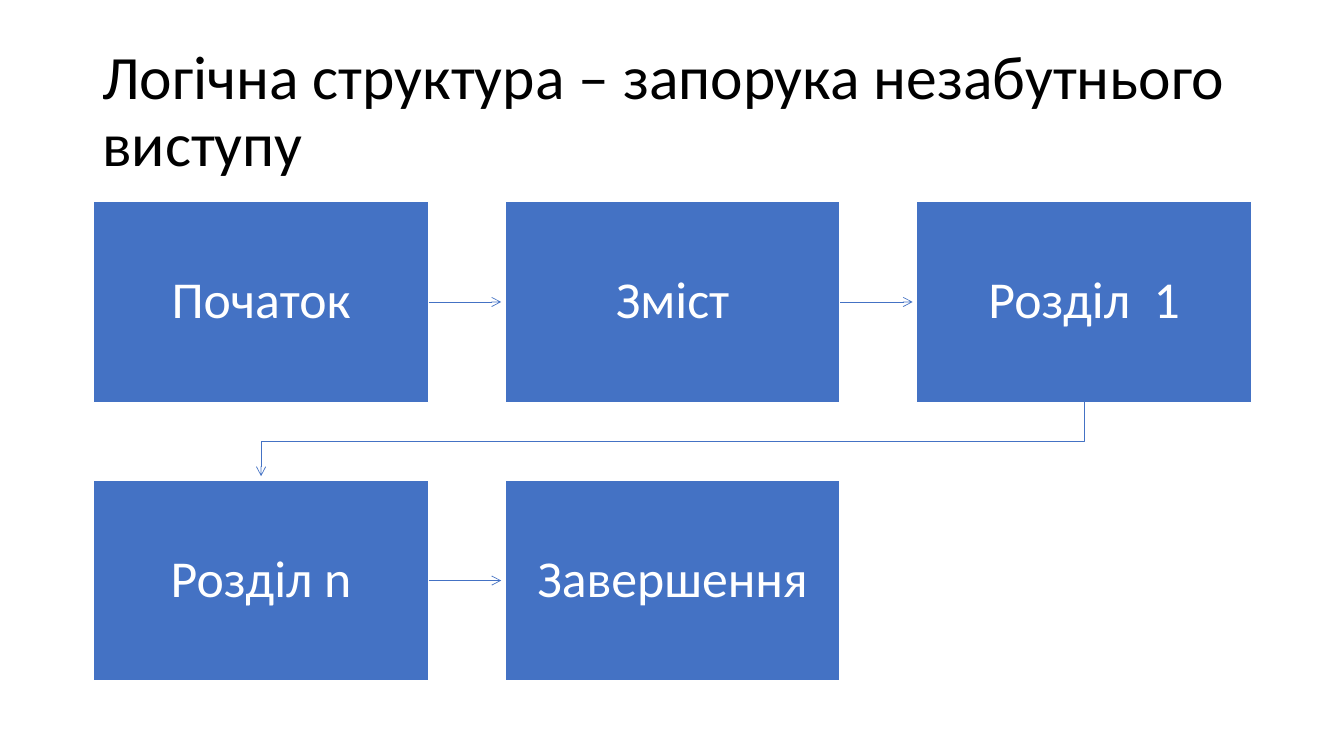
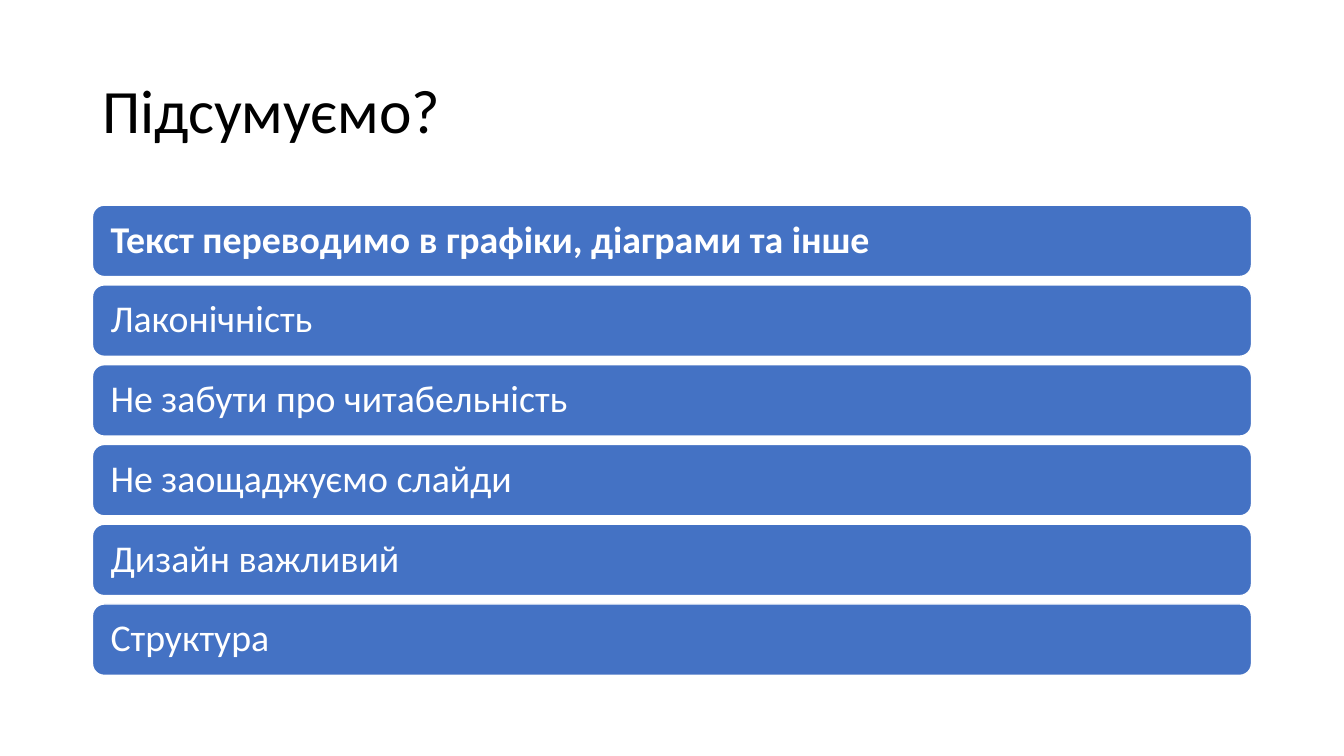
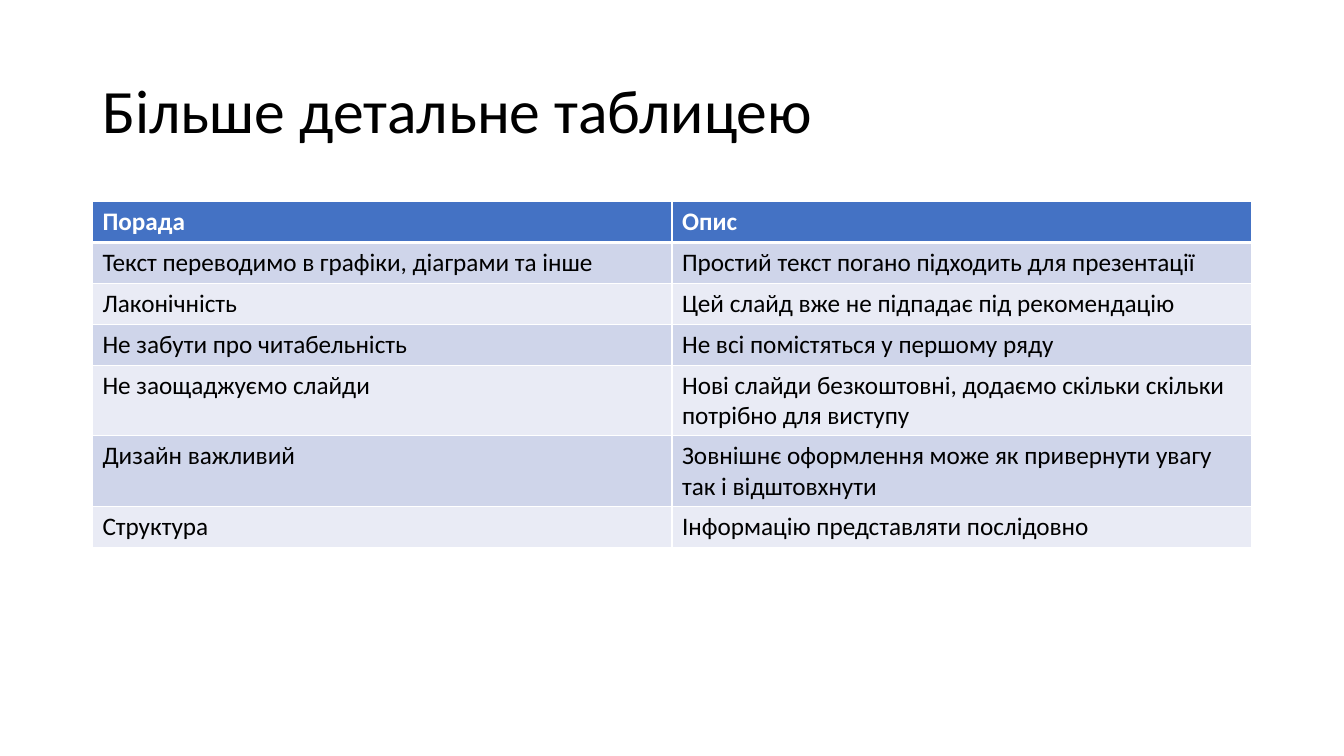
from dataclasses import dataclass

from lxml.etree import SubElement
from pptx import Presentation as Deck
from pptx.dml.color import RGBColor as Rgb
from pptx.enum.shapes import MSO_CONNECTOR as Link, MSO_SHAPE as Form
from pptx.enum.text import MSO_ANCHOR as Anchor, PP_ALIGN as Align
from pptx.oxml import parse_xml
from pptx.oxml.ns import nsdecls, qn
from pptx.util import Cm, Pt


# Colours, type and shared margins
@dataclass(frozen=True)
class Theme:
    font: str = "Calibri"
    blue: str = "4472C4"
    white: str = "FFFFFF"
    black: str = "000000"
    bands: tuple = ("CFD5EA", "E9EBF5")
    head: int = 44
    box: int = 37
    bar: int = 27
    cell: int = 18
    left: float = 2.33
    width: float = 29.21


T = Theme()

STEPS = ["Початок", "Зміст", "Розділ  1", "Розділ n", "Завершення"]
TIPS = [
    ("Текст переводимо в графіки, діаграми та інше",
     "Простий текст погано підходить для презентації"),
    ("Лаконічність", "Цей слайд вже не підпадає під рекомендацію"),
    ("Не забути про читабельність", "Не всі помістяться у першому ряду"),
    ("Не заощаджуємо слайди",
     "Нові слайди безкоштовні, додаємо скільки скільки потрібно для виступу"),
    ("Дизайн важливий",
     "Зовнішнє оформлення може як привернути увагу так і відштовхнути"),
    ("Структура", "Інформацію представляти послідовно"),
]


# Text and line helpers
def write(frame, text, size, color=T.white, bold=False, align=Align.LEFT,
          space=0.9, inset=None):
    frame.word_wrap = True
    if inset is not None:
        frame.margin_left = frame.margin_right = Cm(inset)
    para = frame.paragraphs[0]
    para.alignment = align
    para.line_spacing = space
    run = para.add_run()
    run.text = text
    run.font.name = T.font
    run.font.size = Pt(size)
    run.font.bold = bold
    run.font.color.rgb = Rgb.from_string(color)


def point(shape):
    """Thin blue line with an open arrowhead at its end."""
    shape.line.color.rgb = Rgb.from_string(T.blue)
    shape.line.width = Pt(0.5)
    SubElement(shape.line._get_or_add_ln(), qn("a:tailEnd"), type="arrow")


# Parts of a slide
def start(deck, title):
    slide = deck.slides.add_slide(deck.slide_layouts[6])
    area = slide.shapes.add_textbox(Cm(T.left), Cm(1.01), Cm(T.width), Cm(3.68))
    area.text_frame.vertical_anchor = Anchor.MIDDLE
    write(area.text_frame, title, T.head, color=T.black)
    return slide


def panel(slide, form, left, top, width, height, text, size, **style):
    shape = slide.shapes.add_shape(form, Cm(left), Cm(top), Cm(width), Cm(height))
    shape.shadow.inherit = False
    shape.fill.solid()
    shape.fill.fore_color.rgb = Rgb.from_string(T.blue)
    shape.line.color.rgb = Rgb.from_string(T.white)
    shape.line.width = Pt(1)
    shape.text_frame.vertical_anchor = Anchor.MIDDLE
    write(shape.text_frame, text, size, **style)
    return shape


def arrow(slide, first, last, gap):
    y = first.top + first.height // 2
    line = slide.shapes.add_connector(
        Link.STRAIGHT, first.left + first.width, y, last.left - gap, y)
    line.begin_connect(first, 3)
    point(line)
    SubElement(line._element.spPr, qn("a:effectLst"))


def turn(slide, first, last, gap):
    """Bent arrow from the end of one row to the start of the next."""
    x1, x2 = (box.left + box.width // 2 for box in (first, last))
    base = first.top + first.height
    mid = (base + last.top) // 2
    build = slide.shapes.build_freeform(x1, base)
    build.add_line_segments([(x1, mid), (x2, mid), (x2, last.top - gap)], close=False)
    path = build.convert_to_shape()
    path.shadow.inherit = False
    path.fill.background()
    point(path)


def edge(cell, **widths):
    """White cell borders; widths in points by side: L, R, T, B."""
    props = cell._tc.get_or_add_tcPr()
    for spot, side in enumerate("LRTB"):
        wide = Pt(widths.get(side, 1))
        props.insert(spot, parse_xml(
            f'<a:ln{side} {nsdecls("a")} w="{wide}"><a:solidFill>'
            f'<a:srgbClr val="{T.white}"/></a:solidFill></a:ln{side}>'))


# Slides
def flow(deck):
    slide = start(deck, "Логічна структура – запорука незабутнього виступу")
    cols, gap = 3, Cm(0.1)
    boxes = [
        panel(slide, Form.RECTANGLE, 2.36 + i % cols * 10.37, 5.08 + i // cols * 7.02,
              8.44, 5.06, step, T.box, align=Align.CENTER, inset=0.74)
        for i, step in enumerate(STEPS)
    ]
    for i, (first, last) in enumerate(zip(boxes, boxes[1:]), 1):
        join = arrow if i % cols else turn
        join(slide, first, last, gap)


def recap(deck):
    slide = start(deck, "Підсумуємо?")
    for i, (tip, _) in enumerate(TIPS):
        panel(slide, Form.ROUNDED_RECTANGLE, T.left, 5.17 + i * 2.01, T.width, 1.8,
              tip, T.bar, bold=i == 0, inset=0.37)


def detail(deck):
    slide = start(deck, "Більше детальне таблицею")
    rows = [("Порада", "Опис"), *TIPS]
    table = slide.shapes.add_table(
        len(rows), 2, Cm(T.left), Cm(5.08), Cm(T.width), Cm(8.71)).table
    for r, row in enumerate(rows):
        head = r == 0
        # Long notes take two lines
        table.rows[r].height = Cm(1.78 if len(row[1]) > 50 else 1.03)
        for c, text in enumerate(row):
            cell = table.cell(r, c)
            cell.fill.solid()
            cell.fill.fore_color.rgb = Rgb.from_string(
                T.blue if head else T.bands[(r - 1) % 2])
            edge(cell, T=3 if r == 1 else 1, B=3 if head else 1)
            write(cell.text_frame, text, T.cell, bold=head, space=1.0,
                  color=T.white if head else T.black)


def main():
    deck = Deck()
    deck.slide_width, deck.slide_height = Cm(33.87), Cm(19.05)
    for make in (flow, recap, detail):
        make(deck)
    deck.save("out.pptx")


if __name__ == "__main__":
    main()
